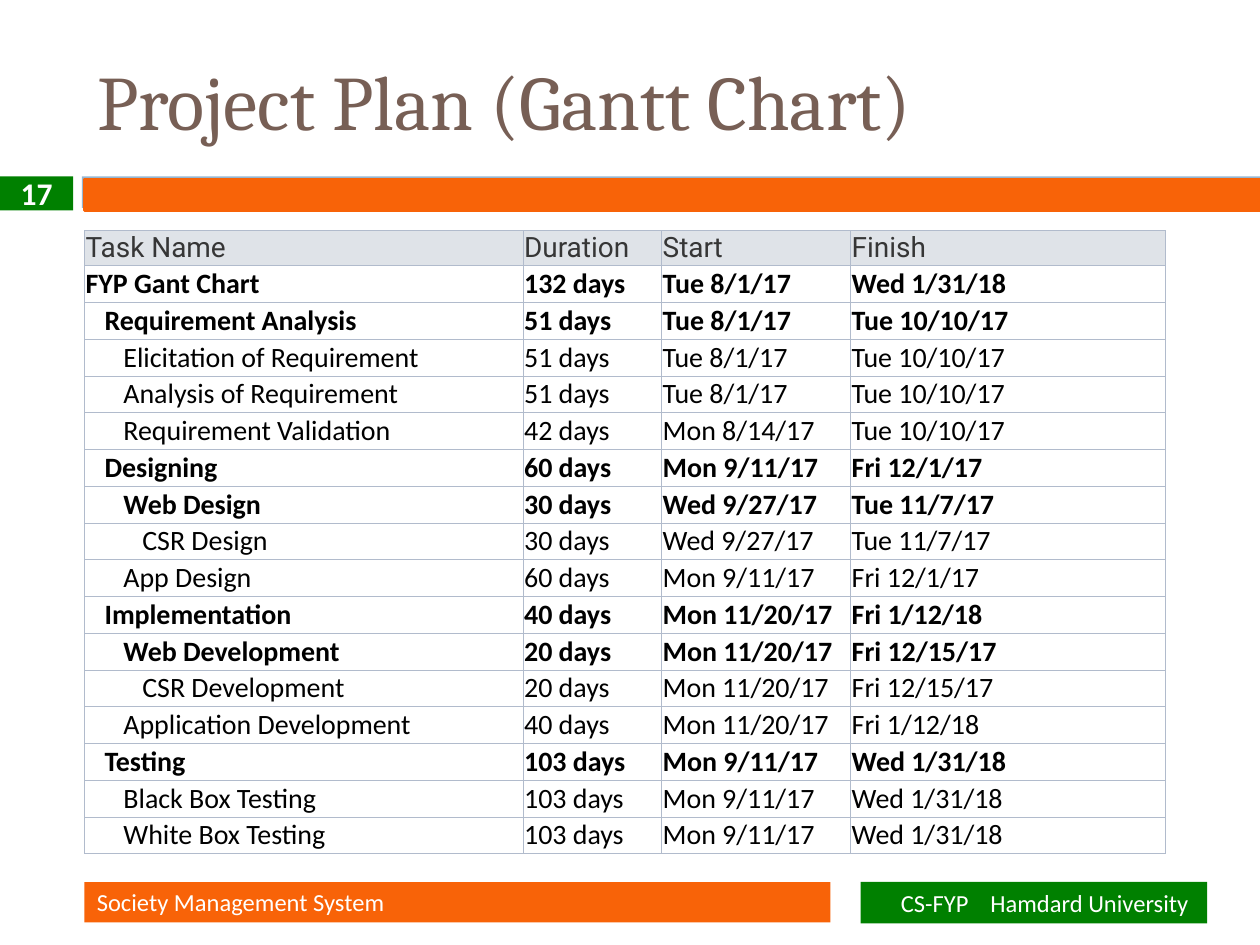
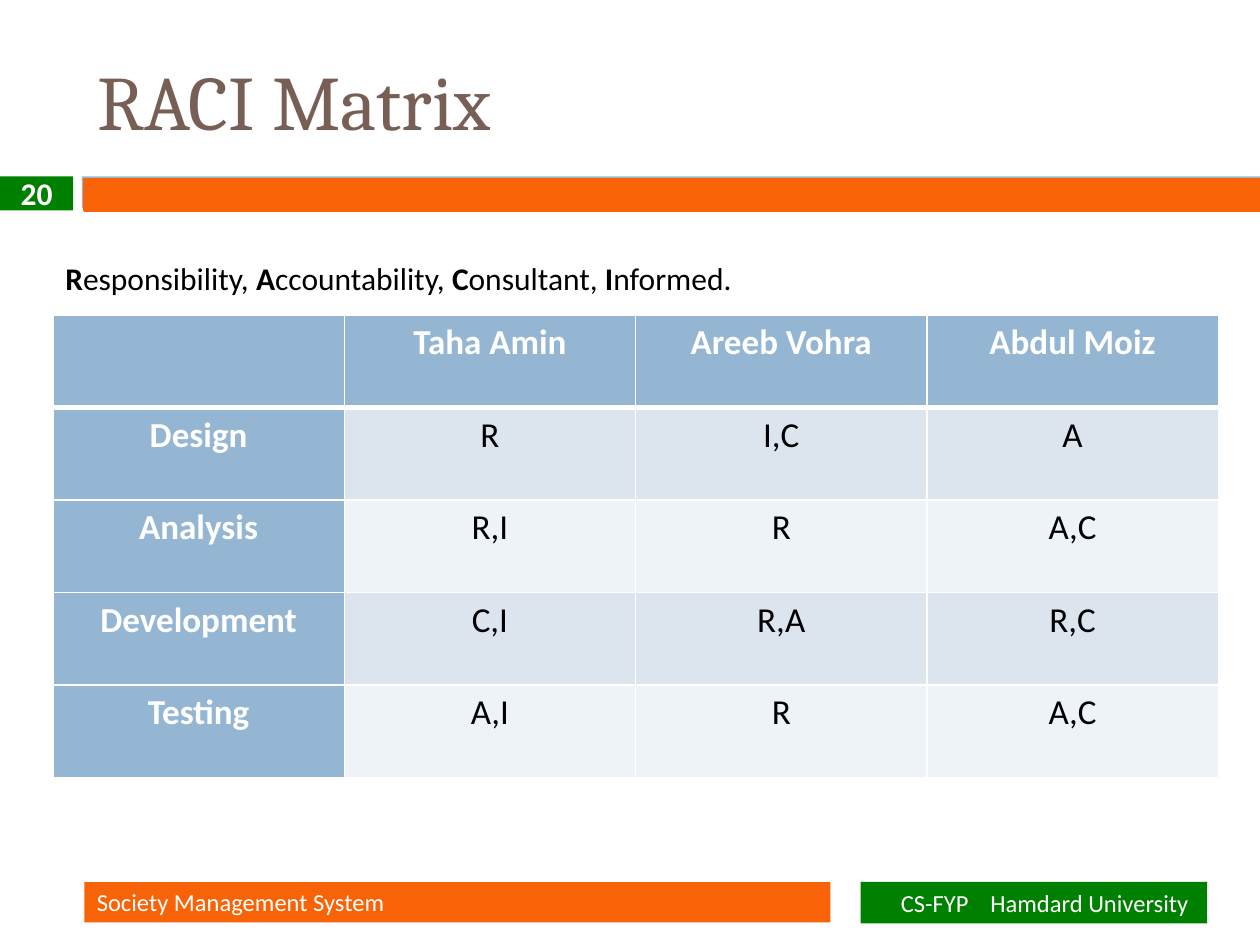
from lxml import etree
from pptx import Presentation
from pptx.dml.color import RGBColor
from pptx.enum import shapes, text
from pptx.oxml import ns
from pptx.util import Inches, Pt

COLORS = {
    "orange": "F86308", "green": "008000", "blue": "94B6D2", "title": "775F55",
    "white": "FFFFFF", "black": "000000", "grid": "B1BBCC",
    "head_fill": "DFE3E8", "head_text": "363636",
    "band_dark": "DCE5EE", "band_light": "EEF3F7",
}
LEFT, MIDDLE, TOP = text.PP_ALIGN.LEFT, text.MSO_ANCHOR.MIDDLE, text.MSO_ANCHOR.TOP
CENTER = text.PP_ALIGN.CENTER
INDENT = 0.15

TASKS = [
    (0, True, "FYP Gant Chart", "132 days", "Tue 8/1/17", "Wed 1/31/18"),
    (1, True, "Requirement Analysis", "51 days", "Tue 8/1/17", "Tue 10/10/17"),
    (2, False, "Elicitation of Requirement", "51 days", "Tue 8/1/17", "Tue 10/10/17"),
    (2, False, "Analysis of Requirement", "51 days", "Tue 8/1/17", "Tue 10/10/17"),
    (2, False, "Requirement Validation", "42 days", "Mon 8/14/17", "Tue 10/10/17"),
    (1, True, "Designing", "60 days", "Mon 9/11/17", "Fri 12/1/17"),
    (2, True, "Web Design", "30 days", "Wed 9/27/17", "Tue 11/7/17"),
    (3, False, "CSR Design", "30 days", "Wed 9/27/17", "Tue 11/7/17"),
    (2, False, "App Design", "60 days", "Mon 9/11/17", "Fri 12/1/17"),
    (1, True, "Implementation", "40 days", "Mon 11/20/17", "Fri 1/12/18"),
    (2, True, "Web Development", "20 days", "Mon 11/20/17", "Fri 12/15/17"),
    (3, False, "CSR Development", "20 days", "Mon 11/20/17", "Fri 12/15/17"),
    (2, False, "Application Development", "40 days", "Mon 11/20/17", "Fri 1/12/18"),
    (1, True, "Testing", "103 days", "Mon 9/11/17", "Wed 1/31/18"),
    (2, False, "Black Box Testing", "103 days", "Mon 9/11/17", "Wed 1/31/18"),
    (2, False, "White Box Testing", "103 days", "Mon 9/11/17", "Wed 1/31/18"),
]
RACI = [
    ("", "Taha Amin", "Areeb Vohra", "Abdul Moiz"),
    ("Design", "R", "I,C", "A"),
    ("Analysis", "R,I", "R", "A,C"),
    ("Development", "C,I", "R,A", "R,C"),
    ("Testing", "A,I", "R", "A,C"),
]


def rgb(name):
    return RGBColor.from_string(COLORS[name])


def add_text(p, content, size=14, font="Calibri", color="white", bold=False):
    r = p.add_run()
    r.text = content
    r.font.size, r.font.name, r.font.bold = Pt(size), font, bold
    r.font.color.rgb = rgb(color)


def add_band(slide, box, fill, line=None):
    sp = slide.shapes.add_shape(shapes.MSO_SHAPE.RECTANGLE, *map(Inches, box))
    sp.shadow.inherit = False
    sp.fill.solid()
    sp.fill.fore_color.rgb = rgb(fill)
    if line:
        sp.line.color.rgb = rgb(fill)
        sp.line.width = Pt(line)
    else:
        sp.line.fill.background()
    sp.text_frame.vertical_anchor = MIDDLE
    sp.text_frame.paragraphs[0].alignment = LEFT
    return sp


def add_title(slide, content, box):
    sp = slide.shapes.title
    sp.left, sp.top, sp.width, sp.height = map(Inches, box)
    sp.text_frame.vertical_anchor = MIDDLE
    p = sp.text_frame.paragraphs[0]
    p.alignment = LEFT
    add_text(p, content, size=44, font="Cambria", color="title")


def add_header(slide, number, top):
    add_band(slide, (0.65, top, 9.35, 0.25), "blue")
    add_band(slide, (0.67, top + 0.02, 9.33, 0.25), "orange", line=1.5)
    sp = add_band(slide, (0, top, 0.58, 0.27), "green")
    p = sp.text_frame.paragraphs[0]
    p.alignment = CENTER
    add_text(p, number, size=18, bold=True)


def add_footer(slide, top):
    sp = add_band(slide, (0.67, top, 5.92, 0.32), "orange")
    add_text(sp.text_frame.paragraphs[0], "Society Management System")
    sp = add_band(slide, (6.83, top, 2.75, 0.33), "green")
    tf = sp.text_frame
    tf.margin_left, tf.margin_right = Inches(0.32), 0
    p = tf.paragraphs[0]
    tabs = etree.SubElement(p._p.get_or_add_pPr(), ns.qn("a:tabLst"))
    etree.SubElement(tabs, ns.qn("a:tab"), pos=str(Inches(0.71)), algn="l")
    add_text(p, "CS-FYP\tHamdard University")


def new_slide(prs, title, number):
    slide = prs.slides.add_slide(prs.slide_layouts.get_by_name("Title Only"))
    add_title(slide, title, (0.67, 0.25, 8.33, 1.08))
    add_header(slide, number, 1.4)
    add_footer(slide, 7)
    return slide


def new_table(slide, box, widths, heights):
    frame = slide.shapes.add_table(len(heights), len(widths), *map(Inches, box))
    table = frame.table
    for column, width in zip(table.columns, widths):
        column.width = Inches(width)
    for row, height in zip(table.rows, heights):
        row.height = Inches(height)
    return table


def format_cell(cell, fill, line, widths, margins, anchor):
    cell.fill.solid()
    cell.fill.fore_color.rgb = rgb(fill)
    cell.vertical_anchor = anchor
    cell.margin_left = cell.margin_right = Inches(margins[0])
    cell.margin_top = cell.margin_bottom = Inches(margins[1])
    for i, (side, width) in enumerate(zip("LRTB", widths)):
        ln = etree.Element(ns.qn(f"a:ln{side}"), w=str(Pt(width)))
        solid = etree.SubElement(ln, ns.qn("a:solidFill"))
        etree.SubElement(solid, ns.qn("a:srgbClr"), val=COLORS[line])
        cell._tc.get_or_add_tcPr().insert(i, ln)
    return cell.text_frame.paragraphs[0]


def add_plan_table(slide, box):
    table = new_table(slide, box, [3.48, 1.1, 1.5, 2.5], [0.24] + [0.29] * len(TASKS))
    rows = [(0, False, "Task Name", "Duration", "Start", "Finish")] + TASKS
    for i, (level, bold, *values) in enumerate(rows):
        fill, font, color = (("white", "Calibri", "black") if i
                             else ("head_fill", "Roboto", "head_text"))
        for j, value in enumerate(values):
            p = format_cell(table.cell(i, j), fill, "grid", [0.5] * 4, (0.01, 0.01), MIDDLE)
            if level and j == 0:
                p._p.get_or_add_pPr().set("marL", str(Inches(level * INDENT)))
            add_text(p, value, size=16, font=font, color=color, bold=bold)


def add_raci_table(slide, box):
    columns, count = len(RACI[0]), len(RACI)
    table = new_table(slide, box, [box[2] / columns] * columns, [box[3] / count] * count)
    for i, values in enumerate(RACI):
        borders = (1, 1, 3 if i == 1 else 1, 3 if i == 0 else 1)
        for j, value in enumerate(values):
            head = i == 0 or j == 0
            fill = "blue" if head else "band_dark" if i % 2 else "band_light"
            p = format_cell(table.cell(i, j), fill, "white", borders, (0.07, 0), TOP)
            p.alignment, p.line_spacing = CENTER, 1.15
            if value:
                add_text(p, value, size=20, color="white" if head else "black", bold=head)


def add_raci_legend(slide, box):
    tf = slide.shapes.add_textbox(*map(Inches, box)).text_frame
    tf.word_wrap = True
    p = tf.paragraphs[0]
    for word in ("Responsibility, ", "Accountability, ", "Consultant, ", "Informed."):
        add_text(p, word[0], size=18, color="black", bold=True)
        add_text(p, word[1:], size=18, color="black")


def main():
    prs = Presentation()
    prs.slide_width, prs.slide_height = Inches(10), Inches(7.5)
    add_plan_table(new_slide(prs, "Project Plan (Gantt Chart)", "17"), (0.67, 1.83, 8.58, 4.88))
    slide = new_slide(prs, "RACI Matrix", "20")
    add_raci_table(slide, (0.42, 2.5, 9.25, 3.67))
    add_raci_legend(slide, (0.42, 2.01, 9.25, 0.4))
    prs.save("out.pptx")


if __name__ == "__main__":
    main()
